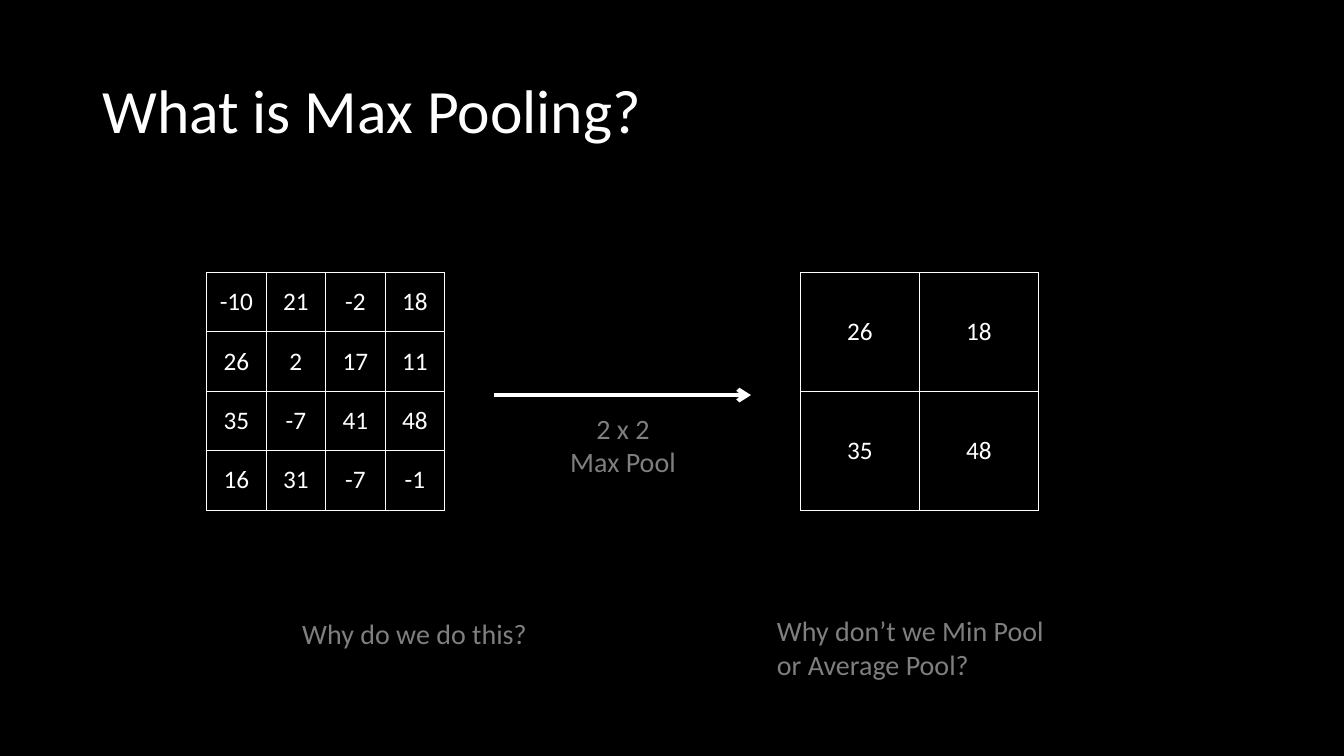
import pptx
import pptx.dml.color
import pptx.enum.shapes
import pptx.enum.text
import pptx.oxml
import pptx.oxml.ns
import pptx.util
from pptx.util import Pt

BLACK, WHITE, GREY = "000000", "FFFFFF", "7F7F7F"
LEFT = pptx.enum.text.PP_ALIGN.LEFT
CENTER = pptx.enum.text.PP_ALIGN.CENTER
TOP = pptx.enum.text.MSO_ANCHOR.TOP
MIDDLE = pptx.enum.text.MSO_ANCHOR.MIDDLE
GRID_TOP, GRID_SIZE = 194.4, 170

FEATURE_MAP = [
    [-10, 21, -2, 18],
    [26, 2, 17, 11],
    [35, -7, 41, 48],
    [16, 31, -7, -1],
]
POOLED_MAP = [[26, 18], [35, 48]]


def color(hex_string):
    return pptx.dml.color.RGBColor.from_string(hex_string)


def write(paragraph, text, size, hex_string, align):
    paragraph.alignment = align
    run = paragraph.add_run()
    run.text = text
    run.font.name = "Calibri"
    run.font.size = Pt(size)
    run.font.color.rgb = color(hex_string)


def add_text(slide, box, lines, size=20, hex_string=GREY, align=LEFT, anchor=TOP):
    frame = slide.shapes.add_textbox(*map(Pt, box)).text_frame
    frame.word_wrap = True
    frame.vertical_anchor = anchor
    for index, line in enumerate(lines):
        paragraph = frame.add_paragraph() if index else frame.paragraphs[0]
        write(paragraph, line, size, hex_string, align)
    return frame


def add_borders(cell):
    properties = cell._tc.get_or_add_tcPr()
    for side in ("lnL", "lnR", "lnT", "lnB"):
        properties.append(pptx.oxml.parse_xml(
            f'<a:{side} {pptx.oxml.ns.nsdecls("a")} w="{Pt(1)}"><a:solidFill>'
            f'<a:srgbClr val="{WHITE}"/></a:solidFill></a:{side}>'))


def add_grid(slide, left, values):
    """Draw a square matrix of numbers with equal cells."""
    count = len(values)
    table = slide.shapes.add_table(
        count, count, Pt(left), Pt(GRID_TOP), Pt(GRID_SIZE), Pt(GRID_SIZE)).table
    table.first_row = table.horz_banding = False
    for band in (*table.rows, *table.columns):
        if hasattr(band, "height"):
            band.height = Pt(GRID_SIZE / count)
        else:
            band.width = Pt(GRID_SIZE / count)
    for row, numbers in enumerate(values):
        for column, number in enumerate(numbers):
            cell = table.cell(row, column)
            add_borders(cell)
            cell.fill.solid()
            cell.fill.fore_color.rgb = color(BLACK)
            cell.vertical_anchor = MIDDLE
            write(cell.text_frame.paragraphs[0], str(number), 18, WHITE, CENTER)


def add_arrow(slide, start, end, y):
    arrow = slide.shapes.add_connector(
        pptx.enum.shapes.MSO_CONNECTOR.STRAIGHT, Pt(start), Pt(y), Pt(end), Pt(y))
    arrow.line.color.rgb = color(WHITE)
    arrow.line.width = Pt(3)
    namespace = pptx.oxml.ns.nsdecls("a")
    arrow.line._get_or_add_ln().append(
        pptx.oxml.parse_xml(f'<a:tailEnd {namespace} type="arrow"/>'))
    arrow._element.spPr.append(pptx.oxml.parse_xml(f"<a:effectLst {namespace}/>"))


def main():
    deck = pptx.Presentation()
    deck.slide_width, deck.slide_height = Pt(960), Pt(540)
    slide = deck.slides.add_slide(deck.slide_layouts[6])
    slide.background.fill.solid()
    slide.background.fill.fore_color.rgb = color(BLACK)

    title = add_text(slide, (66, 28.8, 828, 104.4), ["What is Max Pooling?"],
                     44, WHITE, anchor=MIDDLE)
    title.paragraphs[0].line_spacing = 0.9
    add_grid(slide, 147.6, FEATURE_MAP)
    add_arrow(slide, 352.8, 536.4, 282.2)
    add_text(slide, (387.4, 290.2, 115.2, 55.4), ["2 x 2", "Max Pool"], align=CENTER)
    add_grid(slide, 571.7, POOLED_MAP)
    add_text(slide, (547.9, 434.9, 218.2, 55.4),
             ["Why don’t we Min Pool or Average Pool?"])
    add_text(slide, (208.8, 437, 218.2, 31.7), ["Why do we do this?"])
    deck.save("out.pptx")


if __name__ == "__main__":
    main()
